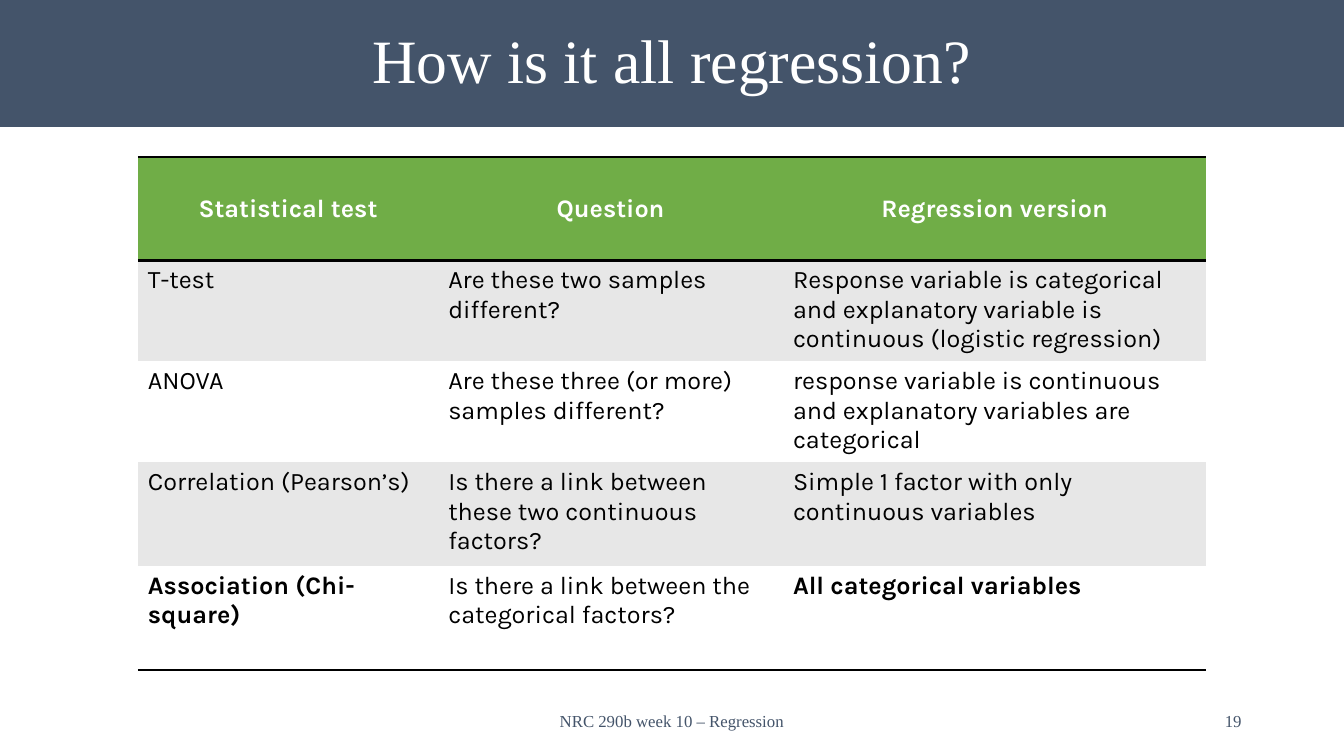
from lxml.etree import fromstring
from pptx import Presentation
from pptx.dml.color import RGBColor
from pptx.enum.shapes import MSO_SHAPE
from pptx.enum.text import MSO_ANCHOR, PP_ALIGN
from pptx.oxml.ns import nsdecls, qn
from pptx.util import Pt

COLORS = {
    "navy": "44546A",
    "green": "70AD47",
    "gray": "E7E7E7",
    "white": "FFFFFF",
    "black": "000000",
}
SERIF, SANS = "Times New Roman", "Karla"
NO_STYLE = "{2D5ABB26-0587-4C30-8999-92F81FD0307C}"

WIDTHS = [214.5, 246.25, 302.4]
HEIGHTS = [74.2, 43.2, 43.2, 74.2, 74.2]
ROWS = [
    ["Statistical test", "Question", "Regression version"],
    ["T-test", "Are these two samples different?",
     "Response variable is categorical and explanatory variable is "
     "continuous (logistic regression)"],
    ["ANOVA", "Are these three (or more) samples different?",
     "response variable is continuous and explanatory variables are categorical"],
    ["Correlation (Pearson’s)", "Is there a link between these two continuous factors?",
     "Simple 1 factor with only continuous variables"],
    ["Association (Chi-square)", "Is there a link between the categorical factors?",
     "All categorical variables"],
]
LAST = len(ROWS) - 1


def paint(item, color):
    item.fill.solid()
    item.fill.fore_color.rgb = RGBColor.from_string(COLORS[color])


class Deck:
    def __init__(self, width, height):
        self.show = Presentation()
        self.show.slide_width, self.show.slide_height = Pt(width), Pt(height)
        self.slide = self.show.slides.add_slide(self.show.slide_layouts[6])

    def label(self, frame, text, size, color, align, font=SERIF, bold=False):
        frame.text = text
        frame.word_wrap = True
        para = frame.paragraphs[0]
        para.alignment = align
        for run in para.runs:
            run.font.name, run.font.size, run.font.bold = font, Pt(size), bold
            run.font.color.rgb = RGBColor.from_string(COLORS[color])

    def banner(self, text, width, height):
        bar = self.slide.shapes.add_shape(
            MSO_SHAPE.RECTANGLE, 0, 0, Pt(width), Pt(height))
        bar.shadow.inherit = False
        bar.line.fill.background()
        paint(bar, "navy")
        frame = bar.text_frame
        self.label(frame, text, 44, "white", PP_ALIGN.CENTER)
        frame.vertical_anchor = MSO_ANCHOR.MIDDLE
        frame.paragraphs[0].line_spacing = 0.9

    def footer(self, text, left, width, align):
        box = self.slide.shapes.add_textbox(Pt(left), Pt(500.5), Pt(width), Pt(28.75))
        self.label(box.text_frame, text, 12, "navy", align)
        box.text_frame.vertical_anchor = MSO_ANCHOR.MIDDLE

    def rule(self, cell, sides):
        """Draw 2 pt borders on the given sides, top before bottom."""
        props = cell._tc.get_or_add_tcPr()
        for place, side in enumerate(sides):
            props.insert(place, fromstring(
                f'<a:ln{side} {nsdecls("a")} w="{Pt(2)}"><a:solidFill>'
                f'<a:srgbClr val="{COLORS["black"]}"/></a:solidFill></a:ln{side}>'))

    def table(self, rows, left, top, widths, heights):
        grid = self.slide.shapes.add_table(
            len(rows), len(widths), Pt(left), Pt(top),
            Pt(sum(widths)), Pt(sum(heights))).table
        grid._tbl.tblPr.find(qn("a:tableStyleId")).text = NO_STYLE
        for column, width in zip(grid.columns, widths):
            column.width = Pt(width)
        for r, (row, height) in enumerate(zip(rows, heights)):
            grid.rows[r].height = Pt(height)
            head = r == 0
            fill = "green" if head else "gray" if r % 2 else "white"
            for c, text in enumerate(row):
                cell = grid.cell(r, c)
                self.label(cell.text_frame, text, 18,
                           "white" if head else "black",
                           PP_ALIGN.CENTER if head else PP_ALIGN.LEFT,
                           SANS, head or (r == LAST and c != 1))
                cell.vertical_anchor = MSO_ANCHOR.MIDDLE if head else MSO_ANCHOR.TOP
                paint(cell, fill)
                self.rule(cell, "TB" if head else "B" if r == LAST else "")


def main():
    deck = Deck(960, 540)
    deck.footer("NRC 290b week 10 – Regression", 318, 324, PP_ALIGN.CENTER)
    deck.banner("How is it all regression?", 960, 90.75)
    deck.table(ROWS, 98.5, 112, WIDTHS, HEIGHTS)
    deck.footer("19", 678, 216, PP_ALIGN.RIGHT)
    deck.show.save("out.pptx")


if __name__ == "__main__":
    main()
